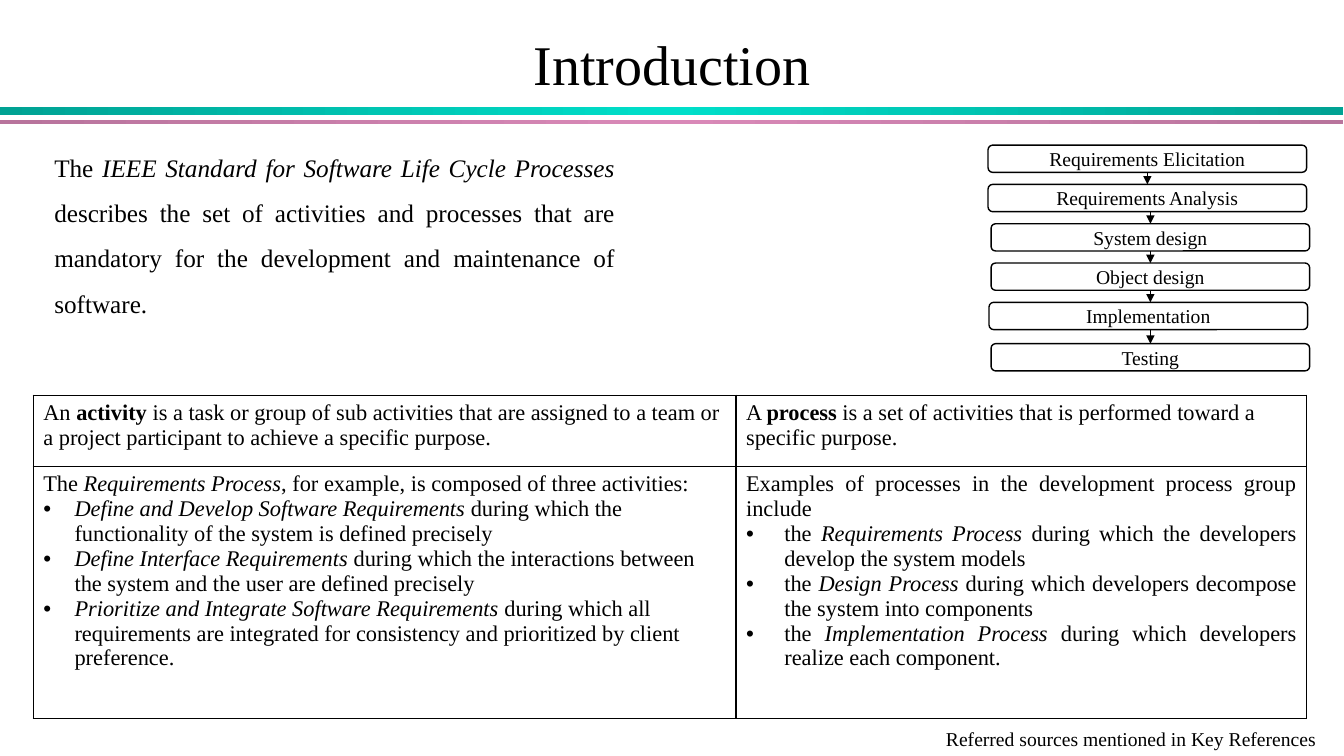
"""Build the Introduction slide on software life cycle activities and processes."""
from copy import deepcopy
from dataclasses import dataclass
from itertools import pairwise

from lxml.etree import SubElement
from pptx import Presentation
from pptx.dml.color import RGBColor
from pptx.enum.shapes import MSO_CONNECTOR as Connector, MSO_SHAPE as Shape
from pptx.enum.text import MSO_ANCHOR as Anchor, PP_ALIGN as Align
from pptx.oxml.ns import qn
from pptx.util import Pt

PX = 9144


@dataclass(frozen=True)
class Theme:
    font: str = "Times New Roman"
    ink: str = "000000"
    teal: tuple = ("00A293", "00DFCA", "00A293")
    pink: tuple = ("B8749C", "D989B8", "B8749C")
    title: int = 40
    body: int = 18
    table: int = 16
    label: int = 14
    line: int = 1


theme = Theme()
ink = RGBColor.from_string(theme.ink)


def write(frame, lines, size, align, emphasis="italic", spacing=None, indent=0):
    """Write lines whose parts between bars are emphasised; bullet all but the first."""
    frame.word_wrap = True
    for index, line in enumerate(lines):
        para = frame.paragraphs[0] if index == 0 else frame.add_paragraph()
        para.alignment = align
        if spacing:
            para.line_spacing = spacing
        if index:
            props = para._p.get_or_add_pPr()
            props.set("marL", str(indent * PX))
            props.set("indent", str(-indent * PX))
            SubElement(SubElement(props, qn("a:buClr")), qn("a:srgbClr"), val=theme.ink)
            SubElement(props, qn("a:buFont"), typeface="Arial")
            SubElement(props, qn("a:buChar"), char="•")
        para.font.name = theme.font
        para.font.size = Pt(size)
        para.font.color.rgb = ink
        for part, text in enumerate(line.split("|")):
            if text:
                span = para.add_run()
                span.text = text
                if part % 2:
                    setattr(span.font, emphasis, True)


def add_shape(kind, left, top, width, height):
    """Add a shape without a shadow, placed in px."""
    shape = page.shapes.add_shape(kind, left * PX, top * PX, width * PX, height * PX)
    shape.shadow.inherit = False
    return shape


deck = Presentation()
deck.slide_width, deck.slide_height = 1333 * PX, 750 * PX
page = deck.slides.add_slide(deck.slide_layouts[6])

for top, height, colours in ((106, 8, theme.teal), (119, 4, theme.pink)):
    band = add_shape(Shape.RECTANGLE, 0, top, 1332, height)
    band.line.fill.background()
    band.fill.gradient()
    band.fill.gradient_angle = 0
    stops = band._element.spPr.find(qn("a:gradFill")).find(qn("a:gsLst"))
    stops.insert(1, deepcopy(stops[0]))
    for index, (stop, colour) in enumerate(zip(band.fill.gradient_stops, colours)):
        stop.position = index / 2
        stop.color.rgb = RGBColor.from_string(colour)

STEP_WIDTH, STEP_HEIGHT = 316, 27
steps = (
    ("Requirements Elicitation", 980, 144),
    ("Requirements Analysis", 980, 183),
    ("System design", 983, 222),
    ("Object design", 983, 261),
    ("Implementation", 981, 300),
    ("Testing", 983, 341),
)
for label, left, top in steps:
    box = add_shape(Shape.ROUNDED_RECTANGLE, left, top, STEP_WIDTH, STEP_HEIGHT)
    box.fill.background()
    box.line.color.rgb = ink
    box.line.width = Pt(theme.line)
    box.text_frame.vertical_anchor = Anchor.MIDDLE
    write(box.text_frame, [label], theme.label, Align.CENTER)

for (_, left, top), (_, next_left, next_top) in pairwise(steps):
    middle = (max(left, next_left) + STEP_WIDTH // 2) * PX
    arrow = page.shapes.add_connector(
        Connector.STRAIGHT, middle, (top + STEP_HEIGHT) * PX, middle, next_top * PX)
    arrow.line.color.rgb = ink
    arrow.line.width = Pt(theme.line)
    SubElement(arrow.line._get_or_add_ln(), qn("a:tailEnd"), type="triangle")
    SubElement(arrow._element.spPr, qn("a:effectLst"))

standard = ("The |IEEE Standard for Software Life Cycle Processes |describes the set of "
            "activities and processes that are mandatory for the development and "
            "maintenance of software.")
texts = (
    ("Introduction", 22, 33, 1289, 67, theme.title, Align.CENTER, Anchor.MIDDLE, 0.9),
    (standard, 44, 131, 576, 186, theme.body, Align.JUSTIFY, Anchor.TOP, 1.5),
    ("Referred sources mentioned in Key References",
     911, 708, 422, 50, theme.label, Align.CENTER, Anchor.MIDDLE, None),
)
for text, left, top, width, height, size, align, anchor, spacing in texts:
    box = page.shapes.add_textbox(left * PX, top * PX, width * PX, height * PX)
    box.text_frame.vertical_anchor = anchor
    write(box.text_frame, [text], size, align, spacing=spacing)

activity = ["An |activity |is a task or group of sub activities that are assigned to a team "
            "or a project participant to achieve a specific purpose."]
process = ["A |process |is a set of activities that is performed toward a specific purpose."]
activity_examples = [
    "The |Requirements Process|, for example, is composed of three activities:",
    "|Define and Develop Software Requirements |during which the functionality of the "
    "system is defined precisely",
    "|Define Interface Requirements |during which the interactions between the system "
    "and the user are defined precisely",
    "|Prioritize and Integrate Software Requirements |during which all requirements are "
    "integrated for consistency and prioritized by client preference.",
]
process_examples = [
    "Examples of processes in the development process group include",
    "the |Requirements Process |during which the developers develop the system models",
    "the |Design Process |during which developers decompose the system into components",
    "the |Implementation Process |during which developers realize each component.",
]
cells = (
    (0, 0, activity, Align.LEFT, "bold", 0),
    (0, 1, process, Align.LEFT, "bold", 0),
    (1, 0, activity_examples, Align.LEFT, "italic", 31),
    (1, 1, process_examples, Align.JUSTIFY, "italic", 38),
)
columns, rows = (697, 566), (71, 250)
table = page.shapes.add_table(
    2, 2, 33 * PX, 392 * PX, sum(columns) * PX, sum(rows) * PX).table
table.first_row = table.horz_banding = False
for column, width in zip(table.columns, columns):
    column.width = width * PX
for row, height in zip(table.rows, rows):
    row.height = height * PX

for row, column, lines, align, emphasis, indent in cells:
    cell = table.cell(row, column)
    write(cell.text_frame, lines, theme.table, align, emphasis, indent=indent)
    props = cell._tc.get_or_add_tcPr()
    for side in ("a:lnL", "a:lnR", "a:lnT", "a:lnB"):
        border = SubElement(props, qn(side), w=str(Pt(theme.line)))
        SubElement(SubElement(border, qn("a:solidFill")), qn("a:srgbClr"), val=theme.ink)
    cell.fill.background()

deck.save("out.pptx")
